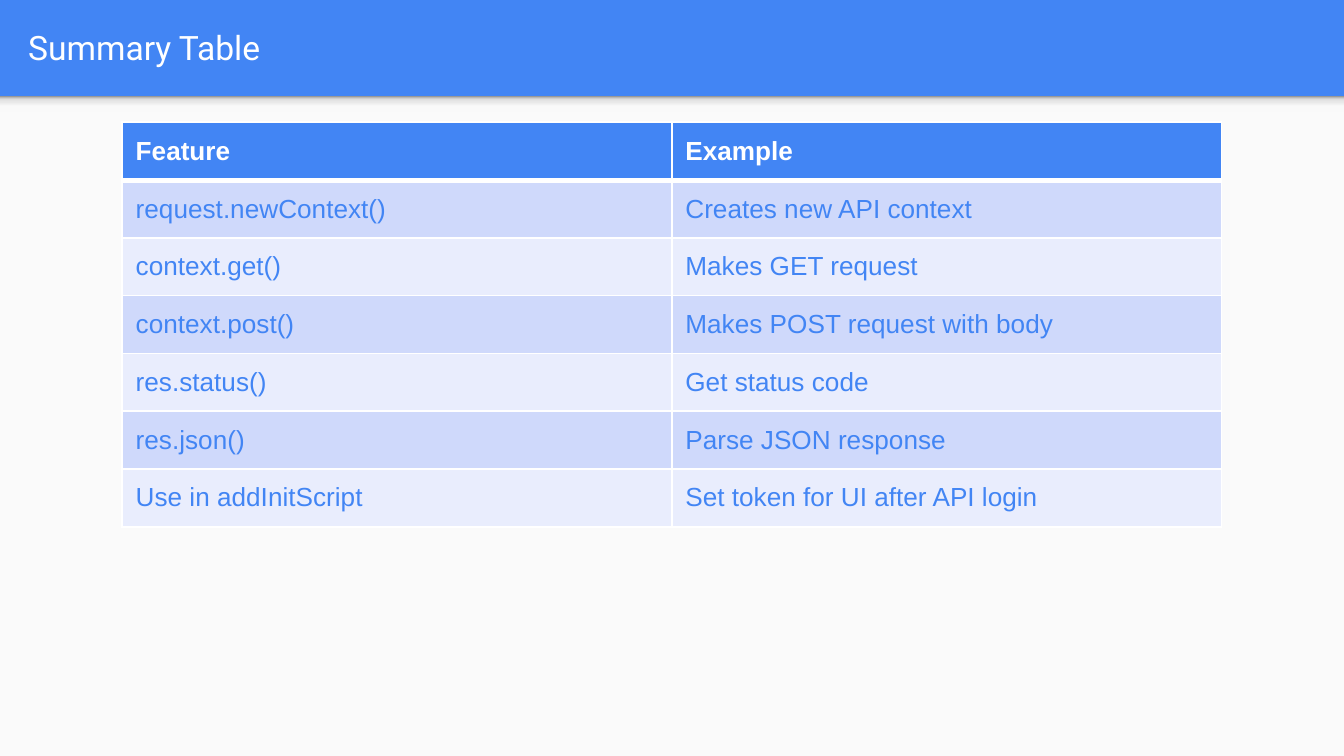
import pptx
import pptx.util
import pptx.dml.color
import pptx.enum.shapes
import pptx.enum.text
import pptx.oxml.ns
from lxml import etree

Inches, Pt = pptx.util.Inches, pptx.util.Pt
MIDDLE = pptx.enum.text.MSO_ANCHOR.MIDDLE
qn = pptx.oxml.ns.qn

TITLE = "Summary Table"
ROWS = [
    ("Feature", "Example"),
    ("request.newContext()", "Creates new API context"),
    ("context.get()", "Makes GET request"),
    ("context.post()", "Makes POST request with body"),
    ("res.status()", "Get status code"),
    ("res.json()", "Parse JSON response"),
    ("Use in addInitScript", "Set token for UI after API login"),
]
COLORS = {
    "blue": "4285F4",
    "white": "FFFFFF",
    "page": "FAFAFA",
    "odd": "CFD9FB",
    "even": "E9EDFD",
}
SHADOW_STOPS = [(0, "F9F9F9"), (36, "F9F9F9"), (80, "DEDEDE"), (100, "999999")]
WIDTH = 10
HEIGHT = WIDTH * 9 / 16
PAGE_H, SHADOW_H = 4.91, 0.12
TABLE_LEFT, TABLE_TOP, COL_W, TABLE_H = 0.91, 0.91, 4.09, 3.01


def rgb(name):
    return pptx.dml.color.RGBColor.from_string(COLORS[name])


def add_panel(s, height):
    sp = s.shapes.add_shape(
        pptx.enum.shapes.MSO_SHAPE.RECTANGLE,
        0, Inches(HEIGHT - PAGE_H), Inches(WIDTH), Inches(height))
    sp.shadow.inherit = False
    sp.line.fill.background()
    return sp


def fill_shadow(sp):
    sp.fill.gradient()
    sp.fill.gradient_angle = 90
    stops = sp._element.spPr.find(".//" + qn("a:gsLst"))
    for stop in list(stops):
        stops.remove(stop)
    for pos, color in SHADOW_STOPS:
        stop = etree.SubElement(stops, qn("a:gs"), pos=str(pos * 1000))
        etree.SubElement(stop, qn("a:srgbClr"), val=color)


def set_borders(cell, bottom, top):
    tcPr = cell._tc.get_or_add_tcPr()
    widths = {"a:lnL": 1, "a:lnR": 1, "a:lnT": top, "a:lnB": bottom}
    for i, (tag, width) in enumerate(widths.items()):
        ln = etree.Element(qn(tag), w=str(Pt(width)))
        fill = etree.SubElement(ln, qn("a:solidFill"))
        etree.SubElement(fill, qn("a:srgbClr"), val=COLORS["white"])
        tcPr.insert(i, ln)


def format_cell(cell, text, row):
    header = row == 0
    cell.text = text
    cell.vertical_anchor = MIDDLE
    cell.fill.solid()
    cell.fill.fore_color.rgb = rgb(
        "blue" if header else "odd" if row % 2 else "even")
    set_borders(cell, 3 if header else 1, 3 if row == 1 else 1)
    font = cell.text_frame.paragraphs[0].font
    font.name, font.size, font.bold = "Arial", Pt(14), header
    font.color.rgb = rgb("white" if header else "blue")


def add_title(s):
    sp = s.shapes.title
    sp.left, sp.top = Inches(0.11), Inches(0.02)
    sp.width, sp.height = Inches(9.65), Inches(0.66)
    tf = sp.text_frame
    tf.text = TITLE
    tf.word_wrap = True
    tf.auto_size = pptx.enum.text.MSO_AUTO_SIZE.NONE
    tf.vertical_anchor = MIDDLE
    tf.margin_left = tf.margin_right = Inches(0.1)
    tf.margin_top = tf.margin_bottom = Inches(0.1)
    p = tf.paragraphs[0]
    p.alignment = pptx.enum.text.PP_ALIGN.LEFT
    p.font.name, p.font.size = "Roboto", Pt(18)
    p.font.color.rgb = rgb("white")


def add_summary(s):
    table = s.shapes.add_table(
        len(ROWS), len(ROWS[0]), Inches(TABLE_LEFT), Inches(TABLE_TOP),
        Inches(COL_W * len(ROWS[0])), Inches(TABLE_H)).table
    for col in table.columns:
        col.width = Inches(COL_W)
    for r, texts in enumerate(ROWS):
        table.rows[r].height = Inches(TABLE_H / len(ROWS))
        for c, text in enumerate(texts):
            format_cell(table.cell(r, c), text, r)


def main():
    prs = pptx.Presentation()
    prs.slide_width, prs.slide_height = Inches(WIDTH), Inches(HEIGHT)
    s = prs.slides.add_slide(prs.slide_layouts[5])
    s.background.fill.solid()
    s.background.fill.fore_color.rgb = rgb("blue")
    page = add_panel(s, PAGE_H)
    page.fill.solid()
    page.fill.fore_color.rgb = rgb("page")
    fill_shadow(add_panel(s, SHADOW_H))
    add_title(s)
    add_summary(s)
    prs.save("out.pptx")


if __name__ == "__main__":
    main()
